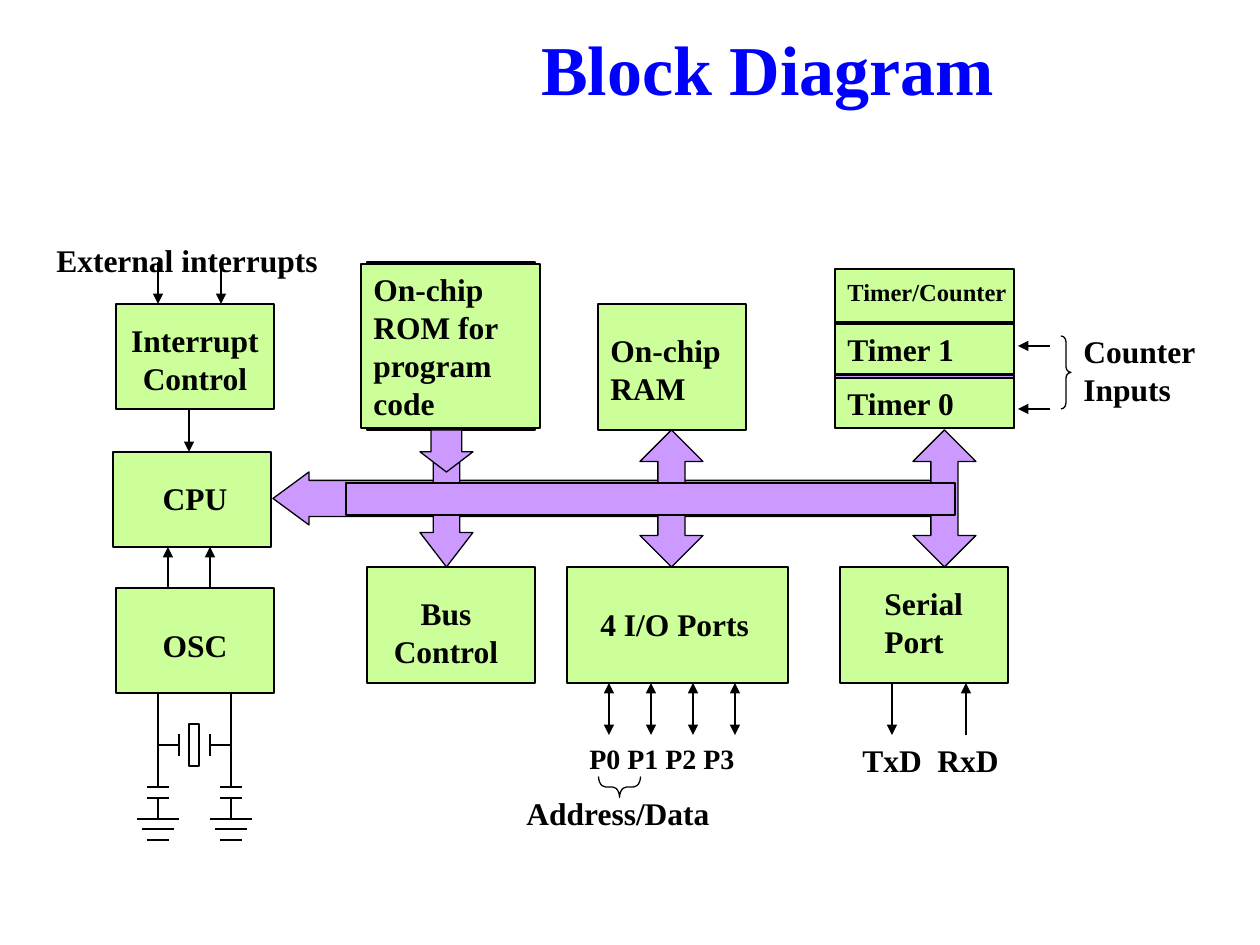
from dataclasses import dataclass

from lxml.etree import SubElement
from pptx import Presentation
from pptx.dml.color import RGBColor
from pptx.enum.shapes import MSO_CONNECTOR, MSO_SHAPE
from pptx.enum.text import MSO_ANCHOR, PP_ALIGN
from pptx.oxml.ns import qn
from pptx.util import Emu, Pt

PX = 914400 / 126


@dataclass(frozen=True)
class Theme:
    font: str = "Times New Roman"
    title: RGBColor = RGBColor(0x00, 0x00, 0xFF)
    ink: RGBColor = RGBColor(0x00, 0x00, 0x00)
    block: RGBColor = RGBColor(0xCC, 0xFF, 0x99)
    backing: RGBColor = RGBColor(0xFF, 0xFF, 0x99)
    bus: RGBColor = RGBColor(0xCC, 0x99, 0xFF)
    title_size: int = 40
    body_size: int = 18
    port_size: int = 16
    small_size: int = 14
    line_width: float = 0.75


THEME = Theme()
LEFT, CENTER = PP_ALIGN.LEFT, PP_ALIGN.CENTER

# Left, top, width, height, fill; back to front
BLOCKS = [
    (113, 452, 158, 95, THEME.block),     # CPU
    (598, 304, 148, 126, THEME.block),    # RAM
    (367, 262, 168, 168, THEME.backing),  # behind ROM
    (361, 264, 179, 164, THEME.block),    # ROM
    (567, 567, 221, 116, THEME.block),    # I/O ports
    (840, 567, 168, 116, THEME.block),    # serial port
    (116, 588, 158, 105, THEME.block),    # oscillator
    (116, 304, 158, 105, THEME.block),    # interrupt control
    (835, 375, 179, 53, THEME.bus),       # behind timer 0
    (835, 378, 179, 50, THEME.block),     # timer 0
    (835, 321, 179, 53, THEME.bus),       # behind timer 1
    (835, 324, 179, 50, THEME.block),     # timer 1
    (835, 269, 179, 53, THEME.block),     # timer/counter heading
    (367, 567, 168, 116, THEME.block),    # bus control
    (189, 724, 10, 42, None),             # crystal
]

# Text, left, top, width, height, alignment, size
LABELS = [
    ("CPU", 116, 473, 158, 50, CENTER, THEME.body_size),
    ("On-chip RAM", 598, 325, 148, 88, LEFT, THEME.body_size),
    ("On-chip ROM for program code", 361, 264, 179, 164, LEFT, THEME.body_size),
    ("4 I/O Ports", 588, 599, 189, 50, LEFT, THEME.body_size),
    ("Timer 0", 835, 378, 179, 50, LEFT, THEME.body_size),
    ("Timer 1", 835, 324, 179, 50, LEFT, THEME.body_size),
    ("Timer/Counter", 835, 271, 222, 43, LEFT, THEME.small_size),
    ("Serial Port", 872, 578, 116, 88, LEFT, THEME.body_size),
    ("OSC", 116, 620, 158, 50, CENTER, THEME.body_size),
    ("Interrupt Control", 116, 315, 158, 88, CENTER, THEME.body_size),
    ("External interrupts", 44, 235, 325, 50, LEFT, THEME.body_size),
    ("Bus Control", 367, 588, 158, 88, CENTER, THEME.body_size),
    ("TxD", 850, 735, 86, 50, LEFT, THEME.body_size),
    ("RxD", 925, 735, 90, 50, LEFT, THEME.body_size),
    ("P0 P1 P2 P3", 577, 735, 192, 46, LEFT, THEME.port_size),
    ("Address/Data", 514, 788, 252, 50, LEFT, THEME.body_size),
    ("Counter Inputs", 1071, 326, 158, 88, LEFT, THEME.body_size),
]

# From x, from y, to x, to y
SIGNALS = [
    (168, 588, 168, 547), (210, 588, 210, 547),    # oscillator to CPU
    (189, 409, 189, 452),                          # interrupt control to CPU
    (158, 262, 158, 304), (221, 262, 221, 304),    # external interrupts
    (892, 683, 892, 735), (966, 735, 966, 683),    # TxD, RxD
    (1050, 346, 1018, 346), (1050, 409, 1018, 409),  # counter inputs
]
PORT_XS = [609 + 42 * port for port in range(4)]
PORT_TOP, PORT_BOTTOM = 683, 735

# Oscillator legs as (leg x, crystal plate x), horizontals as (half width, y)
LEGS = [(158, 179), (231, 210)]
LEG_STEMS = [(693, 787), (798, 819)]
LEG_BARS = [(11, 787), (11, 798), (21, 819), (16, 829), (11, 840)]
LEAD_Y, PLATE_HALF = 745, 11

# Shape, left, top, width, height, adjustments; back to front
BUS_PARTS = [
    (MSO_SHAPE.LEFT_ARROW, 273, 472, 672, 53, (0.68, 0.68)),
    (MSO_SHAPE.UP_DOWN_ARROW, 640, 430, 63, 137, (0.5, 0.43)),
    (MSO_SHAPE.UP_DOWN_ARROW, 913, 430, 63, 137, (0.5, 0.43)),
    (MSO_SHAPE.DOWN_ARROW, 420, 430, 53, 137, (0.5, 0.65)),
    (MSO_SHAPE.RECTANGLE, 346, 483, 609, 32, ()),
    (MSO_SHAPE.DOWN_ARROW, 420, 430, 53, 42, (0.58, 0.48)),
]

# Left, top, width, height, rotation, curve of the ends
BRACES = [
    (609, 766, 21, 42, 90, 0.33),
    (1061, 336, 10, 73, 0, 0.57),
]


def emu(*lengths):
    return [Emu(round(length * PX)) for length in lengths]


def draw_shape(page, kind, bounds, fill=None, adjustments=()):
    shape = page.shapes.add_shape(kind, *emu(*bounds))
    shape.shadow.inherit = False
    if fill is None:
        shape.fill.background()
    else:
        shape.fill.solid()
        shape.fill.fore_color.rgb = fill
    shape.line.color.rgb = THEME.ink
    shape.line.width = Pt(THEME.line_width)
    for index, value in enumerate(adjustments):
        shape.adjustments[index] = value
    return shape


def draw_line(page, ends, heads=()):
    """Draw a straight line; heads names the ends that carry an arrowhead."""
    line = page.shapes.add_connector(MSO_CONNECTOR.STRAIGHT, *emu(*ends))
    line.line.color.rgb = THEME.ink
    line.line.width = Pt(THEME.line_width)
    properties = line.line._get_or_add_ln()
    for head in heads:
        SubElement(properties, qn(f"a:{head}"), type="triangle")
    SubElement(line._element.spPr, qn("a:effectLst"))


def write(page, text, bounds, align, size, color=THEME.ink):
    box = page.shapes.add_textbox(*emu(*bounds))
    box.text_frame.word_wrap = True
    para = box.text_frame.paragraphs[0]
    para.text = text
    para.alignment = align
    para.font.name = THEME.font
    para.font.size = Pt(size)
    para.font.bold = True
    para.font.color.rgb = color
    return box


def draw_oscillator_circuit(page):
    for x, plate_x in LEGS:
        for top, bottom in LEG_STEMS:
            draw_line(page, (x, top, x, bottom))
        for half, y in LEG_BARS:
            draw_line(page, (x - half, y, x + half, y))
        draw_line(page, (x, LEAD_Y, plate_x, LEAD_Y))
        draw_line(page, (plate_x, LEAD_Y - PLATE_HALF, plate_x, LEAD_Y + PLATE_HALF))


def main():
    deck = Presentation()
    deck.slide_width, deck.slide_height = emu(1260, 945)
    page = deck.slides.add_slide(deck.slide_layouts[6])

    title = write(page, "Block Diagram", (401, 40, 733, 56), CENTER,
                  THEME.title_size, THEME.title)
    title.text_frame.vertical_anchor = MSO_ANCHOR.MIDDLE

    for *bounds, fill in BLOCKS:
        draw_shape(page, MSO_SHAPE.RECTANGLE, bounds, fill)
    for text, *bounds, align, size in LABELS:
        write(page, text, bounds, align, size)
    for ends in SIGNALS:
        draw_line(page, ends, ["tailEnd"])
    for x in PORT_XS:
        draw_line(page, (x, PORT_TOP, x, PORT_BOTTOM), ["headEnd", "tailEnd"])
    draw_oscillator_circuit(page)
    for *bounds, rotation, curve in BRACES:
        brace = draw_shape(page, MSO_SHAPE.RIGHT_BRACE, bounds, None, (curve, 0.5))
        brace.rotation = rotation
    for kind, *bounds, adjustments in BUS_PARTS:
        draw_shape(page, kind, bounds, THEME.bus, adjustments)

    deck.save("out.pptx")


if __name__ == "__main__":
    main()
